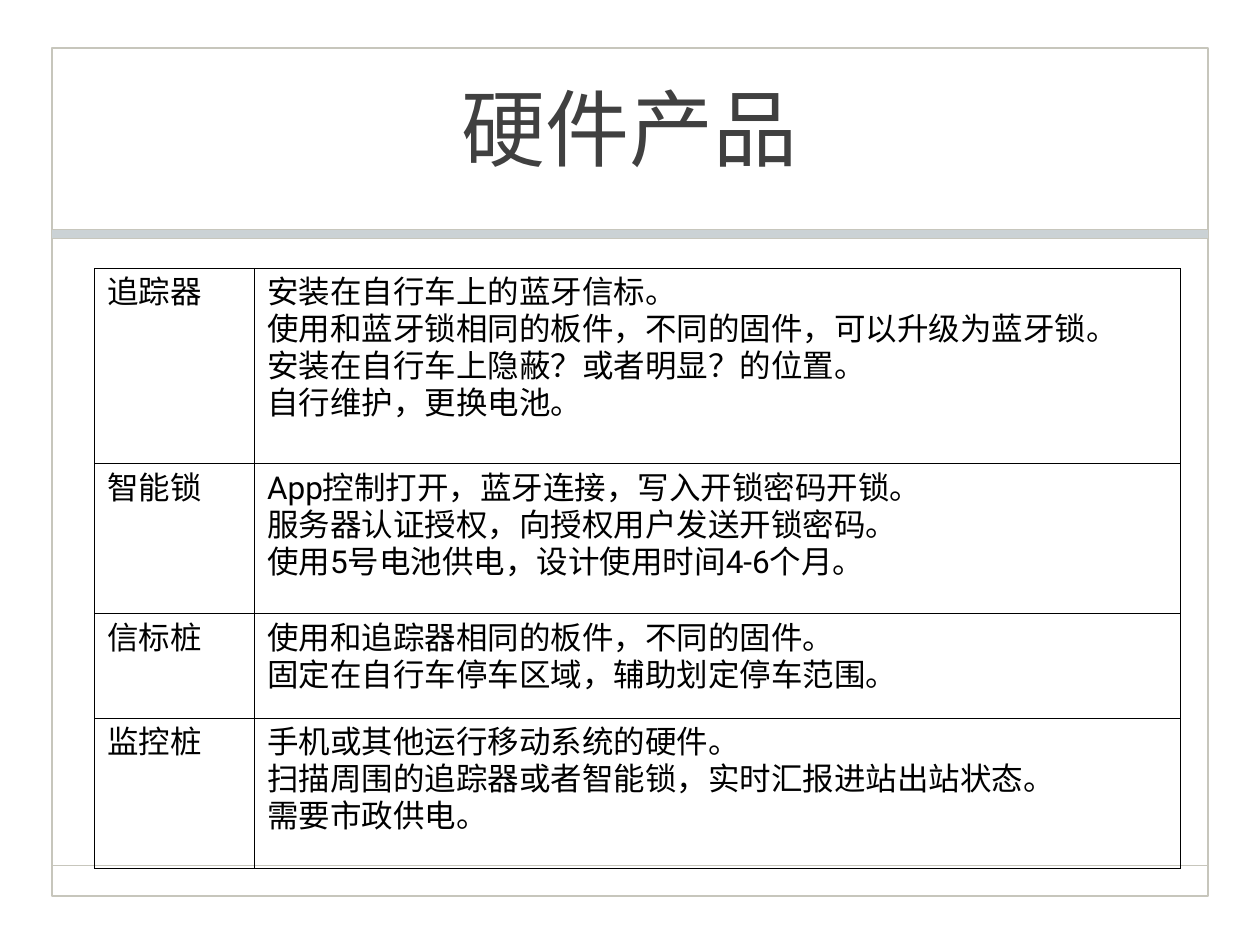
import pptx
import pptx.dml.color
import pptx.enum.shapes
import pptx.enum.text
import pptx.oxml
import pptx.oxml.ns
import pptx.util

Inches = pptx.util.Inches
Pt = pptx.util.Pt
RGBColor = pptx.dml.color.RGBColor
SHAPE = pptx.enum.shapes.MSO_SHAPE

FRAME = RGBColor(0xC7, 0xC6, 0xBC)
BAND = RGBColor(0xCB, 0xD2, 0xD5)
TITLE = RGBColor(0x40, 0x40, 0x40)
BLACK = RGBColor(0, 0, 0)
FONT = "Roboto"

PRODUCTS = [
    ("追踪器", ["安装在自行车上的蓝牙信标。",
             "使用和蓝牙锁相同的板件，不同的固件，可以升级为蓝牙锁。",
             "安装在自行车上隐蔽？或者明显？的位置。",
             "自行维护，更换电池。"]),
    ("智能锁", ["App控制打开，蓝牙连接，写入开锁密码开锁。",
             "服务器认证授权，向授权用户发送开锁密码。",
             "使用5号电池供电，设计使用时间4-6个月。"]),
    ("信标桩", ["使用和追踪器相同的板件，不同的固件。",
             "固定在自行车停车区域，辅助划定停车范围。"]),
    ("监控桩", ["手机或其他运行移动系统的硬件。",
             "扫描周围的追踪器或者智能锁，实时汇报进站出站状态。",
             "需要市政供电。"]),
]


def style_text(tf, size, color):
    """Format every run, with the same font for Latin and East Asian text."""
    for p in tf.paragraphs:
        for r in p.runs:
            r.font.size = Pt(size)
            r.font.name = FONT
            r.font.color.rgb = color
            ea = pptx.oxml.parse_xml(
                f'<a:ea {pptx.oxml.ns.nsdecls("a")} typeface="{FONT}"/>')
            r.font._element.find(pptx.oxml.ns.qn("a:latin")).addnext(ea)


def add_borders(cell):
    """Draw a thin black line on all four sides, before the cell's fill."""
    for i, side in enumerate(("lnL", "lnR", "lnT", "lnB")):
        ln = pptx.oxml.parse_xml(
            f'<a:{side} {pptx.oxml.ns.nsdecls("a")} w="{Pt(0.45)}">'
            f'<a:solidFill><a:srgbClr val="{BLACK}"/></a:solidFill></a:{side}>')
        cell._tc.get_or_add_tcPr().insert(i, ln)


prs = pptx.Presentation()
prs.slide_width, prs.slide_height = Inches(10), Inches(7.5)
s = prs.slides.add_slide(prs.slide_layouts[6])

# Frame, footer rule and band under the title
left, width = Inches(0.41), Inches(9.18)
frame = s.shapes.add_shape(SHAPE.RECTANGLE, left, Inches(0.38), width, Inches(6.73))
frame.fill.background()
frame.line.width = Pt(1)

rule = s.shapes.add_connector(pptx.enum.shapes.MSO_CONNECTOR.STRAIGHT,
                              left, Inches(6.87), left + width, Inches(6.87))
rule.line.width = Pt(1)
rule._element.spPr.append(
    pptx.oxml.parse_xml(f'<a:effectLst {pptx.oxml.ns.nsdecls("a")}/>'))

band = s.shapes.add_shape(SHAPE.RECTANGLE, left, Inches(1.82), width, Inches(0.07))
band.fill.solid()
band.fill.fore_color.rgb = BAND
band.line.width = Pt(0.25)

for sp in (frame, rule, band):
    sp.line.color.rgb = FRAME
for sp in (frame, band):
    sp.shadow.inherit = False

# Title
title = s.shapes.add_textbox(Inches(0.98), Inches(0.27), Inches(8.03), Inches(1.47))
tf = title.text_frame
tf.word_wrap = True
tf.vertical_anchor = pptx.enum.text.MSO_ANCHOR.MIDDLE
tf.text = "硬件产品"
tf.paragraphs[0].alignment = pptx.enum.text.PP_ALIGN.CENTER
style_text(tf, 48, TITLE)

# Product table: each row is as tall as its lines of text
col_widths = [1.27, 7.35]
row_heights = [0.36 * len(lines) + 0.11 for _, lines in PRODUCTS]
table = s.shapes.add_table(len(PRODUCTS), 2, Inches(0.75), Inches(2.13),
                           Inches(sum(col_widths)), Inches(sum(row_heights))).table
table.first_row = table.horz_banding = False
for column, w in zip(table.columns, col_widths):
    column.width = Inches(w)
for row, height, (name, lines) in zip(table.rows, row_heights, PRODUCTS):
    row.height = Inches(height)
    for cell, text in zip(row.cells, (name, "\n".join(lines))):
        cell.text_frame.text = text
        style_text(cell.text_frame, 18, BLACK)
        cell.fill.background()
        add_borders(cell)

prs.save("out.pptx")
